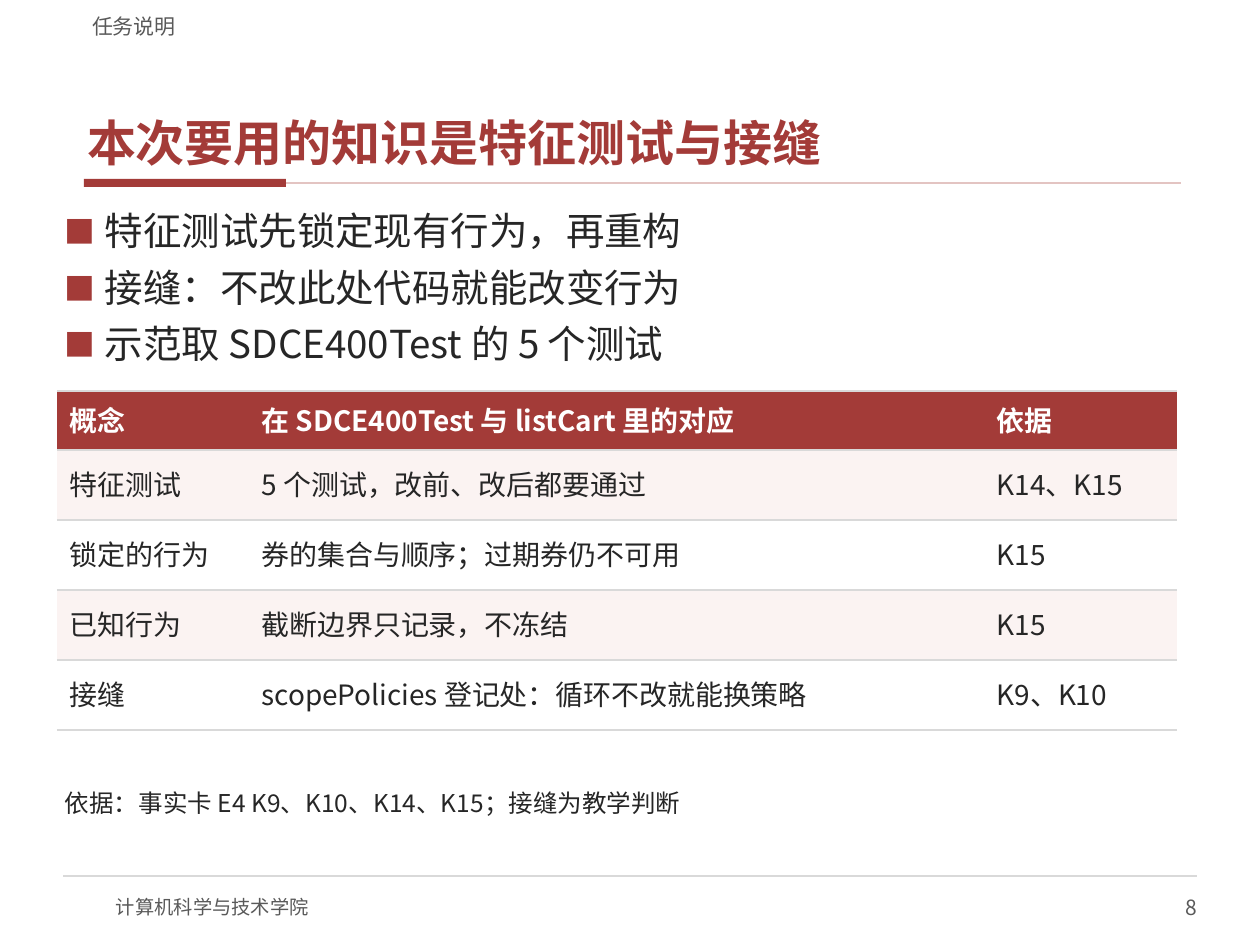
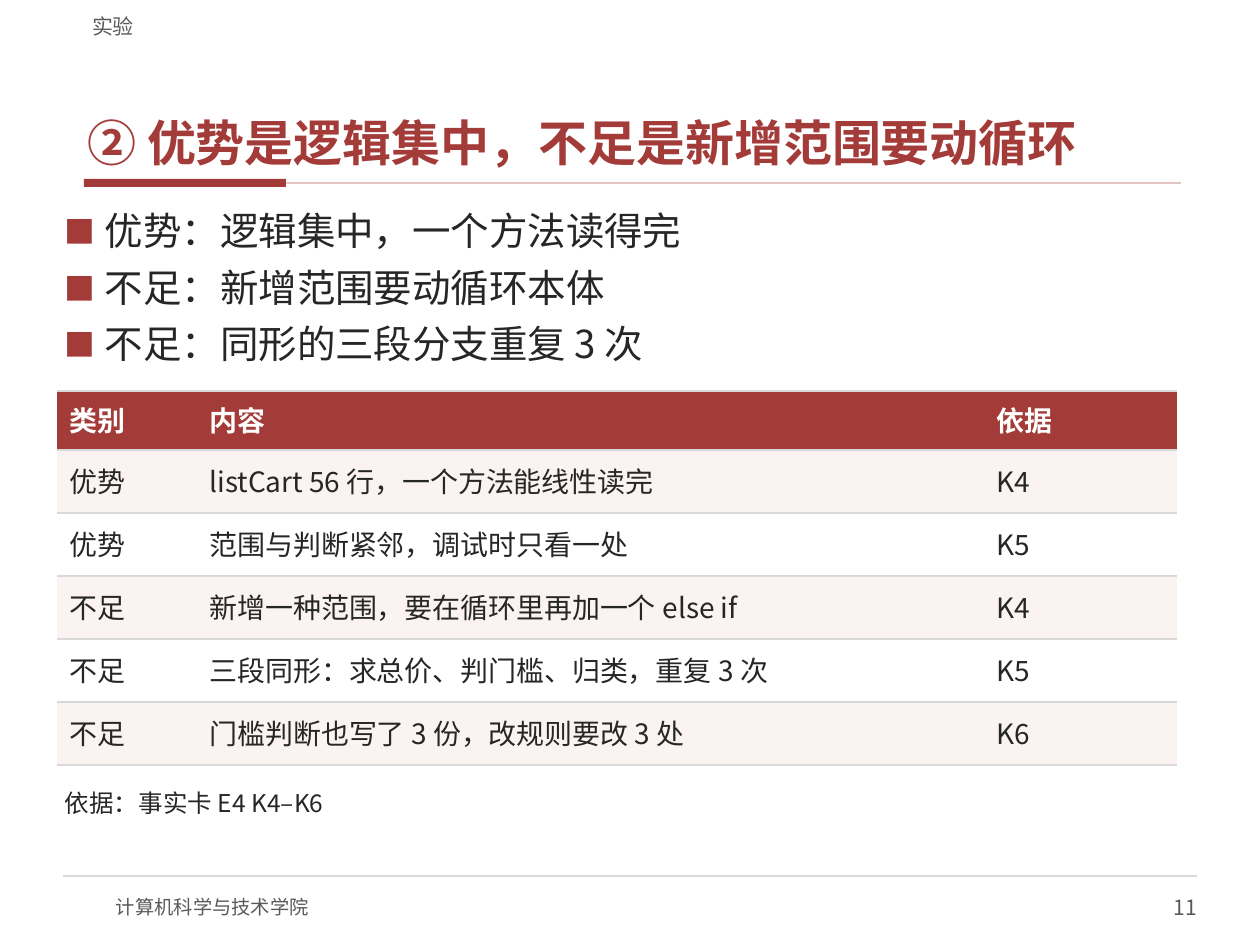
from lxml import etree
from pptx import Presentation
from pptx.dml.color import RGBColor
from pptx.enum.shapes import MSO_CONNECTOR, MSO_SHAPE
from pptx.enum.text import MSO_ANCHOR, PP_ALIGN
from pptx.oxml.ns import qn
from pptx.util import Pt

STRAIGHT, RECT = MSO_CONNECTOR.STRAIGHT, MSO_SHAPE.RECTANGLE
TOP, MIDDLE, BOTTOM = MSO_ANCHOR.TOP, MSO_ANCHOR.MIDDLE, MSO_ANCHOR.BOTTOM
LEFT, RIGHT = PP_ALIGN.LEFT, PP_ALIGN.RIGHT
PX = 914400 / 126
FACE = "Noto Sans CJK SC"
RED, ROSE, BLUSH, WHITE = "A33B38", "E3C4C2", "FBF3F2", "FFFFFF"
INK, GREY, RULE = "262626", "595959", "D9D9D9"
SCHOOL = "计算机科学与技术学院"
HEAD = 59

PAGES = [
    dict(
        tag="任务说明", num="8", title="本次要用的知识是特征测试与接缝",
        points=["特征测试先锁定现有行为，再重构", "接缝：不改此处代码就能改变行为",
                "示范取 SDCE400Test 的 5 个测试"],
        cols=[192, 735, 193], row=70,
        cells=[
            ["概念", "在 SDCE400Test 与 listCart 里的对应", "依据"],
            ["特征测试", "5 个测试，改前、改后都要通过", "K14、K15"],
            ["锁定的行为", "券的集合与顺序；过期券仍不可用", "K15"],
            ["已知行为", "截断边界只记录，不冻结", "K15"],
            ["接缝", "scopePolicies 登记处：循环不改就能换策略", "K9、K10"],
        ],
        source="依据：事实卡 E4 K9、K10、K14、K15；接缝为教学判断",
    ),
    dict(
        tag="实验", num="11", title="② 优势是逻辑集中，不足是新增范围要动循环",
        points=["优势：逻辑集中，一个方法读得完", "不足：新增范围要动循环本体",
                "不足：同形的三段分支重复 3 次"],
        cols=[140, 787, 193], row=63,
        cells=[
            ["类别", "内容", "依据"],
            ["优势", "listCart 56 行，一个方法能线性读完", "K4"],
            ["优势", "范围与判断紧邻，调试时只看一处", "K5"],
            ["不足", "新增一种范围，要在循环里再加一个 else if", "K4"],
            ["不足", "三段同形：求总价、判门槛、归类，重复 3 次", "K5"],
            ["不足", "门槛判断也写了 3 份，改规则要改 3 处", "K6"],
        ],
        source="依据：事实卡 E4 K4–K6",
    ),
]


def px(*sizes):
    return [round(size * PX) for size in sizes]


def write(frame, lines, size, color, bold=False, after=0, align=LEFT, bullet=False):
    frame.word_wrap = True
    frame.text = "\n".join(lines)
    for i, para in enumerate(frame.paragraphs):
        para.alignment = align
        para.space_before = Pt(4 if i else 0)
        para.space_after = Pt(after)
        props = para._p.get_or_add_pPr()
        if bullet:
            props.set("marL", str(px(40)[0]))
            props.set("indent", str(px(-40)[0]))
            tint = etree.SubElement(props, qn("a:buClr"))
            etree.SubElement(tint, qn("a:srgbClr"), val=RED)
            etree.SubElement(props, qn("a:buSzPct"), val="80000")
            etree.SubElement(props, qn("a:buFont"), typeface=FACE)
            etree.SubElement(props, qn("a:buChar"), char="■")
        font = para.font
        font.size, font.bold, font.name = Pt(size), bold, FACE
        font.color.rgb = RGBColor.from_string(color)
        latin = props.find(qn("a:defRPr")).find(qn("a:latin"))
        east = etree.Element(qn("a:ea"), typeface=FACE)
        latin.addnext(east)


deck = Presentation()
deck.slide_width, deck.slide_height = px(1260, 945)

for page in PAGES:
    slide = deck.slides.add_slide(deck.slide_layouts[6])
    shapes = slide.shapes

    bar = shapes.add_shape(RECT, *px(84, 179, 202, 8))
    bar.shadow.inherit = False
    bar.fill.solid()
    bar.fill.fore_color.rgb = RGBColor.from_string(RED)
    bar.line.fill.background()

    for start, end, y, color, width in [(286, 1181, 183, ROSE, 1), (63, 1197, 876, RULE, 0.75)]:
        line = shapes.add_connector(STRAIGHT, *px(start, y, end, y))
        line.line.color.rgb = RGBColor.from_string(color)
        line.line.width = Pt(width)
        etree.SubElement(line._element.spPr, qn("a:effectLst"))
        if color == ROSE:
            line.begin_connect(bar, 3)

    for box, inset, anchor, lines, style in [
        ((116, 882, 504, 50), (0, 0), MIDDLE, [SCHOOL], dict(size=11, color=GREY)),
        ((945, 882, 252, 50), (0, 0), MIDDLE, [page["num"]],
         dict(size=12, color=GREY, align=RIGHT)),
        ((79, 42, 1103, 132), (8, 3), BOTTOM, [page["title"]],
         dict(size=28, color=RED, bold=True, after=2)),
        ((57, 204, 1147, 173), (8, 3), TOP, page["points"],
         dict(size=22, color=INK, after=2, bullet=True)),
        ((57, 785, 1147, 63), (8, 3), TOP, [page["source"]],
         dict(size=14, color=INK, after=2)),
        ((79, 5, 1103, 34), (13, 0), BOTTOM, [page["tag"]], dict(size=12, color=GREY)),
    ]:
        frame = shapes.add_textbox(*px(*box)).text_frame
        frame.margin_left, frame.margin_top = px(*inset)
        frame.margin_right, frame.margin_bottom = px(*inset)
        frame.vertical_anchor = anchor
        write(frame, lines, **style)

    cells, cols = page["cells"], page["cols"]
    high = HEAD + page["row"] * (len(cells) - 1)
    table = shapes.add_table(len(cells), len(cols), *px(57, 391, sum(cols), high)).table
    table.horz_banding = False
    for col, width in zip(table.columns, px(*cols)):
        col.width = width
    for r, texts in enumerate(cells):
        head = r == 0
        table.rows[r].height = px(HEAD if head else page["row"])[0]
        shade = RED if head else BLUSH if r % 2 else WHITE
        for c, text in enumerate(texts):
            cell = table.cell(r, c)
            cell.vertical_anchor = MIDDLE
            cell.fill.solid()
            cell.fill.fore_color.rgb = RGBColor.from_string(shade)
            write(cell.text_frame, [text], 16, WHITE if head else INK, bold=head, after=2)
            cell.text_frame.paragraphs[0].line_spacing = 0.9
            for i, side in enumerate("LRTB"):
                edge = etree.Element(qn(f"a:ln{side}"), w=str(Pt(0.75)))
                if side in "TB":
                    paint = etree.SubElement(edge, qn("a:solidFill"))
                    etree.SubElement(paint, qn("a:srgbClr"), val=RULE)
                else:
                    etree.SubElement(edge, qn("a:noFill"))
                cell._tc.tcPr.insert(i, edge)

deck.save("out.pptx")
